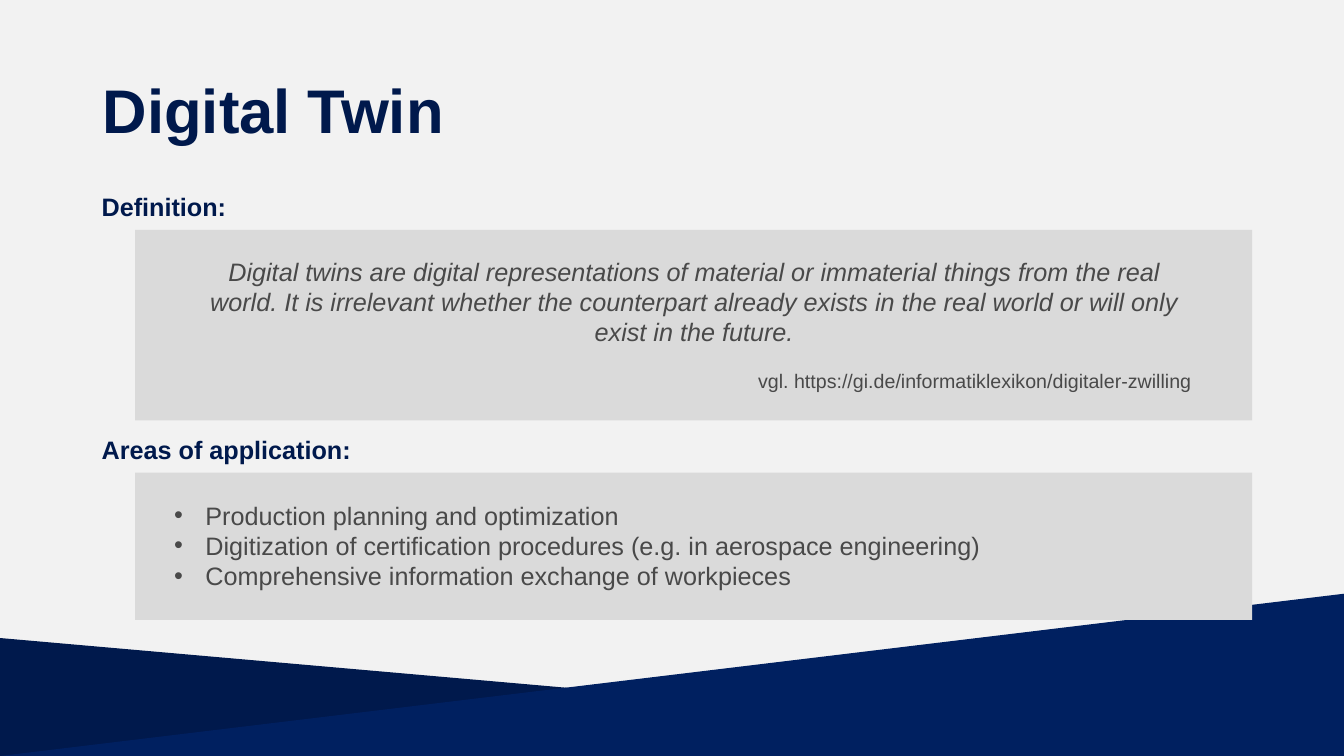
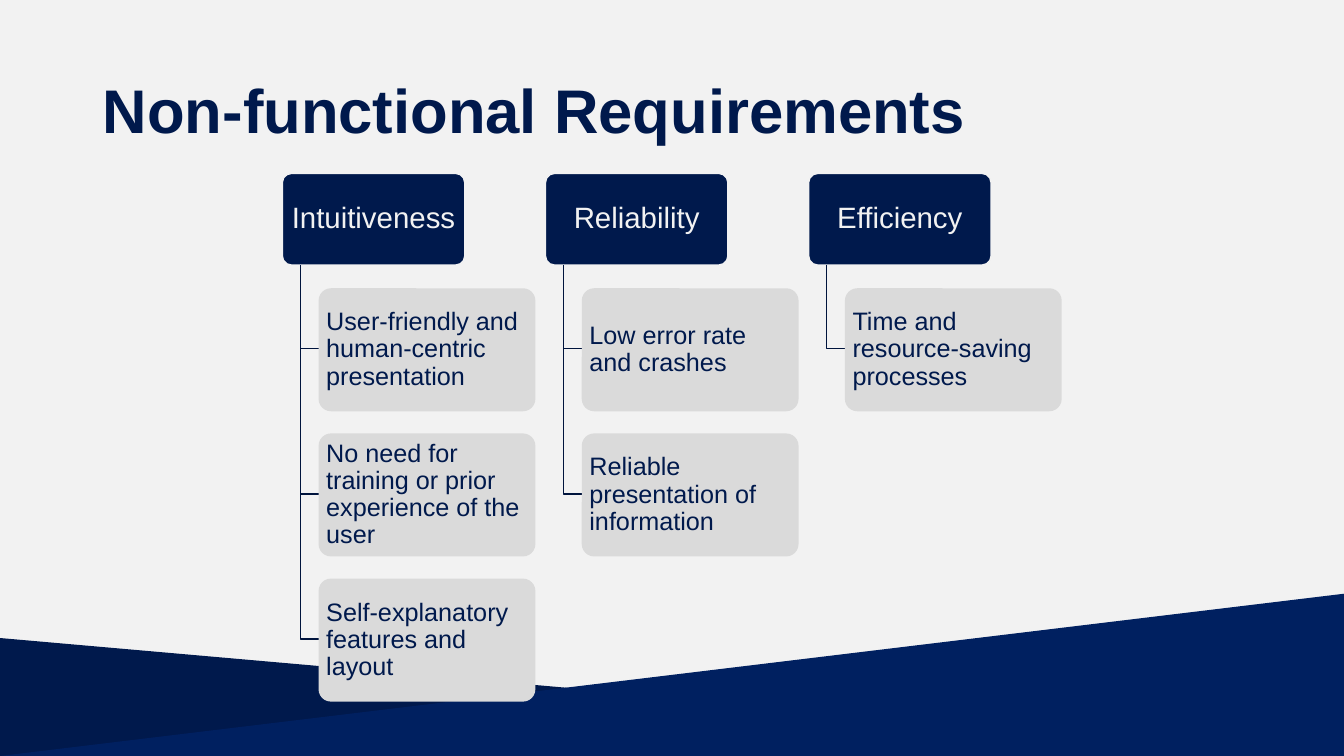
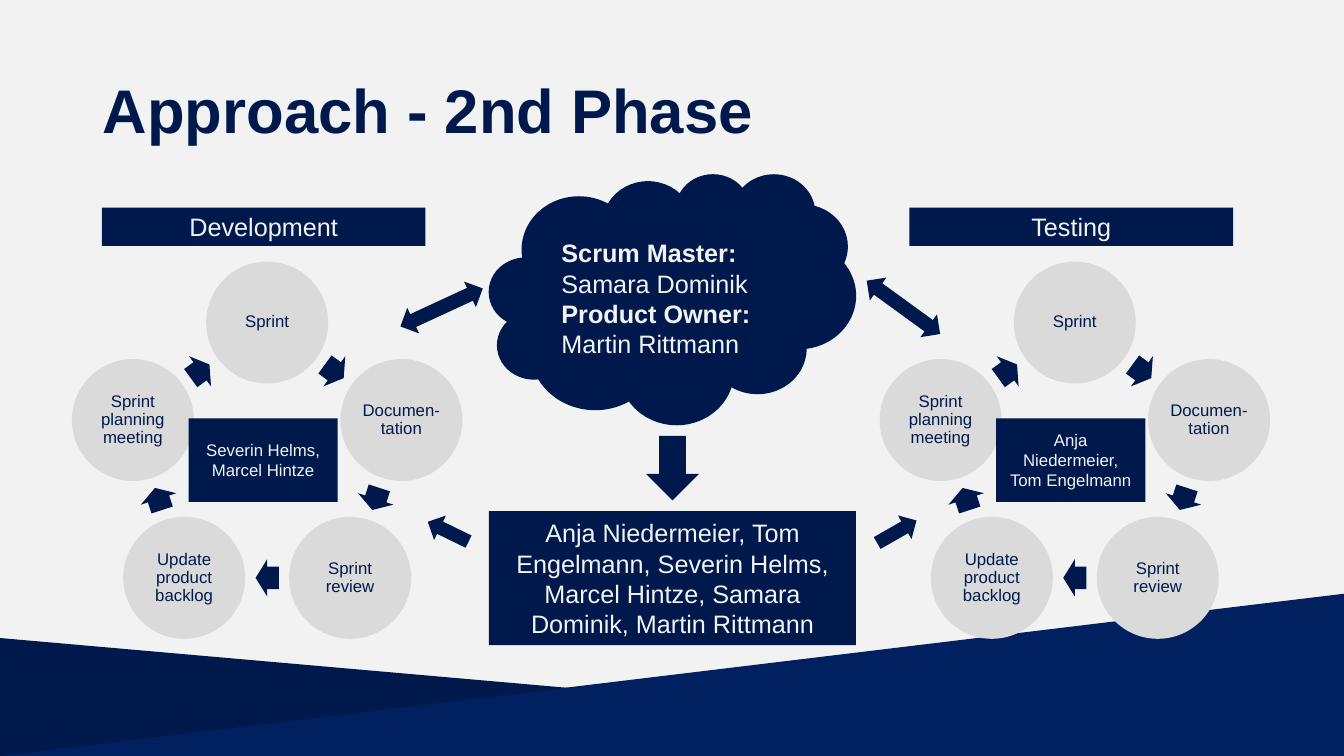
import math

from lxml import etree
from pptx import Presentation
from pptx.dml.color import RGBColor
from pptx.enum.shapes import MSO_SHAPE
from pptx.enum.text import MSO_ANCHOR, PP_ALIGN
from pptx.oxml.ns import qn
from pptx.util import Inches, Pt

NAVY = RGBColor(0x00, 0x19, 0x4C)
BLUE = RGBColor(0x00, 0x20, 0x60)
ELBOW_NAVY = RGBColor(0x00, 0x14, 0x3D)
PALE = RGBColor(0xF2, 0xF2, 0xF2)
PANEL = RGBColor(0xDA, 0xDA, 0xDA)
TEXT_GREY = RGBColor(0x49, 0x49, 0x49)
FONT = "Arial"

RECT = MSO_SHAPE.RECTANGLE
ROUND_RECT = MSO_SHAPE.ROUNDED_RECTANGLE
TRIANGLE = MSO_SHAPE.ISOSCELES_TRIANGLE
OVAL = MSO_SHAPE.OVAL
CLOUD = MSO_SHAPE.CLOUD
RIGHT_ARROW = MSO_SHAPE.RIGHT_ARROW
LEFT_ARROW = MSO_SHAPE.LEFT_ARROW
DOUBLE_ARROW = MSO_SHAPE.LEFT_RIGHT_ARROW
LEFT, CENTER, RIGHT = PP_ALIGN.LEFT, PP_ALIGN.CENTER, PP_ALIGN.RIGHT
TOP, MIDDLE = MSO_ANCHOR.TOP, MSO_ANCHOR.MIDDLE

REQUIREMENTS = [
    ("Intuitiveness", ["User-friendly and human-centric presentation",
                       "No need for training or prior experience of the user",
                       "Self-explanatory features and layout"]),
    ("Reliability", ["Low error rate and crashes",
                     "Reliable presentation of information"]),
    ("Efficiency", ["Time and resource-saving processes"]),
]
SPRINT_STEPS = ["Sprint", "Documen-tation", "Sprint review",
                "Update product backlog", "Sprint planning meeting"]
CYCLES = [
    (2.65, "Development", "Severin Helms,\nMarcel Hintze"),
    (10.66, "Testing", "Anja Niedermeier,\nTom Engelmann"),
]
FLOW_ARROWS = [
    (DOUBLE_ARROW, 3.93, 2.91, 0.9, 0.28, 335.2),
    (DOUBLE_ARROW, 8.51, 2.91, 0.9, 0.28, 36),
    (LEFT_ARROW, 4.22, 5.14, 0.45, 0.27, 26),
    (LEFT_ARROW, 8.67, 5.14, 0.45, 0.27, 150.2),
    (LEFT_ARROW, 6.35, 4.38, 0.64, 0.53, 270),
]


def write_text(tf, text, size, color, align=LEFT, anchor=TOP, bold=False,
               italic=False, spacing=None, insets=None):
    """Fill a text frame and format every paragraph alike."""
    tf.word_wrap = True
    tf.vertical_anchor = anchor
    if insets:
        tf.margin_left = tf.margin_right = Inches(insets[0])
        tf.margin_top = tf.margin_bottom = Inches(insets[1])
    tf.text = text
    for p in tf.paragraphs:
        p.alignment = align
        if spacing:
            p.line_spacing = spacing
        for r in p.runs:
            r.font.name = FONT
            r.font.size = Pt(size)
            r.font.color.rgb = color
            r.font.bold = bold
            r.font.italic = italic


def add_text(s, text, x, y, w, h, size, color, **style):
    """Add a text box and return its text frame."""
    tf = s.shapes.add_textbox(Inches(x), Inches(y), Inches(w), Inches(h)).text_frame
    write_text(tf, text, size, color, **style)
    return tf


def add_filled(s, kind, x, y, w, h, fill, rotation=0, adjustments=()):
    """Add a flat preset shape without outline."""
    sp = s.shapes.add_shape(kind, Inches(x), Inches(y), Inches(w), Inches(h))
    sp.shadow.inherit = False
    sp.fill.solid()
    sp.fill.fore_color.rgb = fill
    sp.line.fill.background()
    sp.rotation = rotation
    for i, value in enumerate(adjustments):
        sp.adjustments[i] = value
    return sp


def add_label(s, text, x, y, w, h, size):
    """Add a navy rectangle with pale centred text."""
    sp = add_filled(s, RECT, x, y, w, h, NAVY)
    write_text(sp.text_frame, text, size, PALE, CENTER, MIDDLE)


def add_bullets(tf):
    """Give every paragraph a hanging bullet."""
    for p in tf.paragraphs:
        pPr = p._p.get_or_add_pPr()
        pPr.set("marL", str(Inches(0.31)))
        pPr.set("indent", str(-Inches(0.31)))
        etree.SubElement(pPr, qn("a:buFont")).set("typeface", FONT)
        etree.SubElement(pPr, qn("a:buChar")).set("char", "•")


def add_elbow(s, x, top, bottom, width):
    """Draw a line down and then to the right."""
    builder = s.shapes.build_freeform(Inches(x), Inches(top))
    builder.add_line_segments([(Inches(x), Inches(bottom)),
                               (Inches(x + width), Inches(bottom))], close=False)
    sp = builder.convert_to_shape()
    sp.shadow.inherit = False
    sp.fill.background()
    sp.line.color.rgb = ELBOW_NAVY
    sp.line.width = Pt(1)


def style_layout(layout, s):
    """Put the background and the two bands on the layout."""
    layout.background.fill.solid()
    layout.background.fill.fore_color.rgb = PALE
    bands = [add_filled(s, TRIANGLE, 0, 6.33, 13.33, 1.17, NAVY, adjustments=[0]),
             add_filled(s, TRIANGLE, 0, 5.89, 13.33, 1.61, BLUE, adjustments=[1])]
    for i, band in enumerate(bands):
        layout.shapes._spTree.insert(2 + i, band._element)


def new_slide(prs, title):
    """Add a title-only slide with the shared title style."""
    s = prs.slides.add_slide(prs.slide_layouts[5])
    sp = s.shapes.title
    sp.left, sp.top, sp.width, sp.height = map(Inches, (0.92, 0.4, 11.5, 1.45))
    write_text(sp.text_frame, title, 44, NAVY, anchor=MIDDLE, bold=True, spacing=0.9)
    return s


def add_panel(s, heading, top, height):
    """Add a grey panel with its heading above."""
    add_text(s, heading, 0.91, top - 0.43, 3, 0.4, 18, NAVY, bold=True)
    add_filled(s, RECT, 1.34, top, 11.08, height, PANEL)


def fill_digital_twin(s):
    """Build the definition and application panels."""
    add_panel(s, "Definition:", 2.28, 1.89)
    tf = add_text(s, "Digital twins are digital representations of material or "
                  "immaterial things from the real world. It is irrelevant whether "
                  "the counterpart already exists in the real world or will only "
                  "exist in the future.\n"
                  "vgl. https://gi.de/informatiklexikon/digitaler-zwilling",
                  1.85, 2.49, 10.07, 1.48, 18, TEXT_GREY, align=CENTER, italic=True)
    source = tf.paragraphs[1]
    source.alignment = RIGHT
    source.space_before = Pt(16)
    source.runs[0].font.size = Pt(14)
    source.runs[0].font.italic = False

    add_panel(s, "Areas of application:", 4.69, 1.46)
    tf = add_text(s, "Production planning and optimization\n"
                  "Digitization of certification procedures (e.g. in aerospace engineering)\n"
                  "Comprehensive information exchange of workpieces",
                  1.63, 4.91, 8.6, 1.01, 18, TEXT_GREY)
    add_bullets(tf)


def add_requirement_column(s, x, heading, items):
    """Add a heading box with its items hanging below."""
    insets = (0.04, 0.03)
    sp = add_filled(s, ROUND_RECT, x, 1.72, 1.81, 0.91, NAVY, adjustments=[0.1])
    sp.line.color.rgb = PALE
    sp.line.width = Pt(1)
    write_text(sp.text_frame, heading, 21, PALE, CENTER, MIDDLE,
               spacing=0.9, insets=insets)
    for i, item in enumerate(items):
        top = 2.86 + 1.44 * i
        add_elbow(s, x + 0.18, 2.63, top + 0.6, 0.18)
        sp = add_filled(s, ROUND_RECT, x + 0.36, top, 2.15, 1.22, PANEL,
                        adjustments=[0.1])
        write_text(sp.text_frame, item, 18, NAVY, anchor=MIDDLE,
                   spacing=0.9, insets=insets)


def add_cycle(s, cx, heading, team):
    """Add a ring of sprint steps with its heading and team."""
    cy, radius, size = 4.6, 1.4, 1.21
    arrow_w, arrow_h = 0.23, 0.37
    step_angle = 360 / len(SPRINT_STEPS)
    arrow_radius = radius * math.cos(math.radians(step_angle / 2))
    for i, step in enumerate(SPRINT_STEPS):
        angle = math.radians(step_angle * i)
        x, y = cx + radius * math.sin(angle), cy - radius * math.cos(angle)
        sp = add_filled(s, OVAL, x - size / 2, y - size / 2, size, size, PANEL)
        write_text(sp.text_frame, step, 12, NAVY, CENTER, MIDDLE,
                   spacing=0.9, insets=(0.02, 0.02))
        turn = step_angle * (i + 0.5)
        angle = math.radians(turn)
        x, y = cx + arrow_radius * math.sin(angle), cy - arrow_radius * math.cos(angle)
        add_filled(s, RIGHT_ARROW, x - arrow_w / 2, y - arrow_h / 2, arrow_w, arrow_h,
                   NAVY, turn, [0.6, 0.5])
    add_label(s, team, cx - 0.78, 4.15, 1.48, 0.83, 12)
    add_label(s, heading, cx - 1.64, 2.06, 3.21, 0.38, 18)


def fill_second_phase(s):
    """Build both cycles, the roles cloud and the arrows between them."""
    for cycle in CYCLES:
        add_cycle(s, *cycle)
    add_filled(s, CLOUD, 4.85, 1.72, 3.64, 2.49, NAVY)
    add_label(s, "Anja Niedermeier, Tom Engelmann, Severin Helms, Marcel Hintze, "
              "Samara Dominik, Martin Rittmann", 4.85, 5.07, 3.64, 1.33, 18)
    for kind, x, y, w, h, rotation in FLOW_ARROWS:
        add_filled(s, kind, x, y, w, h, NAVY, rotation)
    tf = add_text(s, "Scrum Master:\nSamara Dominik\nProduct Owner:\nMartin Rittmann",
                  5.47, 2.31, 2.39, 1.31, 18, PALE)
    for role in tf.paragraphs[::2]:
        role.runs[0].font.bold = True


def main():
    """Build and save the presentation."""
    prs = Presentation()
    prs.slide_width, prs.slide_height = Inches(13.33), Inches(7.5)
    s = new_slide(prs, "Digital Twin")
    style_layout(prs.slide_layouts[5], s)
    fill_digital_twin(s)

    s = new_slide(prs, "Non-functional Requirements")
    for i, (heading, items) in enumerate(REQUIREMENTS):
        add_requirement_column(s, 2.8 + 2.61 * i, heading, items)

    fill_second_phase(new_slide(prs, "Approach - 2nd Phase"))
    prs.save("out.pptx")


if __name__ == "__main__":
    main()
